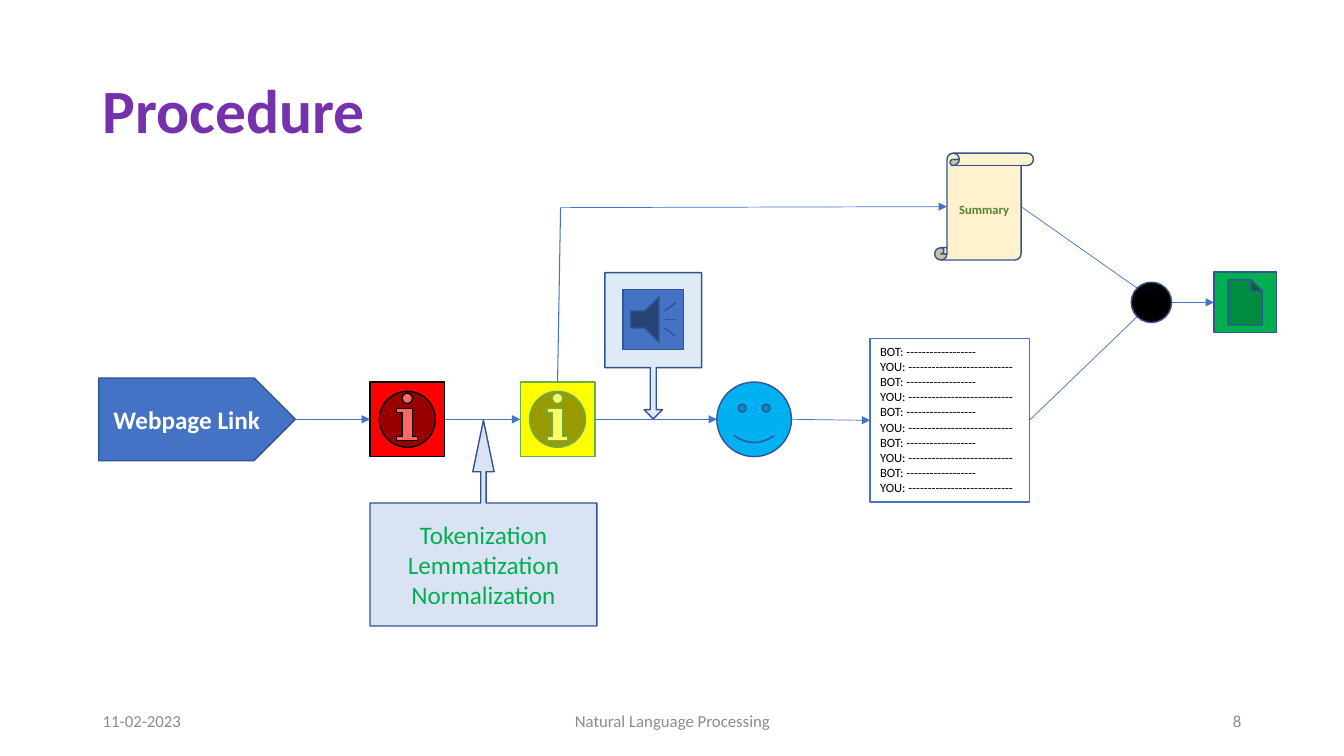
from lxml import etree
from pptx import Presentation
from pptx.dml.color import RGBColor
from pptx.enum.shapes import MSO_CONNECTOR, MSO_SHAPE
from pptx.enum.text import MSO_ANCHOR, PP_ALIGN
from pptx.oxml.ns import qn
from pptx.util import Inches, Pt

STRAIGHT = MSO_CONNECTOR.STRAIGHT
TOP, MIDDLE = MSO_ANCHOR.TOP, MSO_ANCHOR.MIDDLE
LEFT, CENTER, RIGHT = PP_ALIGN.LEFT, PP_ALIGN.CENTER, PP_ALIGN.RIGHT

FONT = "Calibri"
WIDTH, HEIGHT = 13.33, 7.5
MARGIN = 0.92
FLOW = 4.16      # centre line of the main row
SUMMARY = 2.05   # centre line of the summary branch
OUTPUT = 3.0     # centre line of the merged output
ICON = 0.74
BLUE, NAVY, GREEN = "4472C4", "325491", "00B050"

TITLE = "Procedure"
TRANSCRIPT = ["BOT: ------------------", "YOU: ---------------------------"] * 5
STEPS = ["Tokenization", "Lemmatization", "Normalization"]

# name: (preset, left, centre line, width, height, fill, outline)
NODES = {
    "link": (MSO_SHAPE.PENTAGON, 0.98, FLOW, 1.95, 0.82, BLUE, NAVY),
    "transcript": (MSO_SHAPE.RECTANGLE, 8.63, 4.17, 1.58, 1.62, "FFFFFF", BLUE),
    "document": (MSO_SHAPE.ACTION_BUTTON_DOCUMENT, 12.04, OUTPUT, 0.62, 0.6, GREEN, NAVY),
    "raw": (MSO_SHAPE.ACTION_BUTTON_INFORMATION, 3.67, FLOW, ICON, ICON, "FF0000", "000000"),
    "clean": (MSO_SHAPE.ACTION_BUTTON_INFORMATION, 5.16, FLOW, ICON, ICON, "FFFF00", "70AD47"),
    "steps": (MSO_SHAPE.UP_ARROW_CALLOUT, 3.67, 5.19, 2.25, 2.04, "DAE3F3", NAVY),
    "voice": (MSO_SHAPE.DOWN_ARROW_CALLOUT, 6.0, 3.43, 0.96, 1.45, "DEEBF7", NAVY),
    "sound": (MSO_SHAPE.ACTION_BUTTON_SOUND, 6.18, 3.17, 0.6, 0.6, BLUE, NAVY),
    "bot": (MSO_SHAPE.SMILEY_FACE, 7.11, FLOW, ICON, ICON, "00B0F0", NAVY),
    "summary": (MSO_SHAPE.VERTICAL_SCROLL, 9.27, SUMMARY, 0.98, 1.06, "FFF2CC", NAVY),
    "merge": (MSO_SHAPE.OVAL, 11.22, OUTPUT, 0.4, 0.4, "000000", NAVY),
}
ADJUSTMENTS = {
    "steps": (0.026, 0.052, 0.25, 0.598),
    "voice": (0.062, 0.095, 0.095, 0.65),
}
# name: (lines, size, colour, bold, alignment, anchor)
LABELS = {
    "link": (["Webpage Link"], 18, "FFFFFF", True, CENTER, MIDDLE),
    "transcript": (TRANSCRIPT, 9, "000000", False, LEFT, TOP),
    "steps": (STEPS, 18, GREEN, False, CENTER, MIDDLE),
    "summary": (["Summary"], 9, "548235", True, CENTER, MIDDLE),
}
ARROWS = [("link", "raw"), ("raw", "clean"), ("clean", "bot"),
          ("bot", "transcript"), ("merge", "document")]
# (text, left, width, alignment)
FOOTER = [
    ("11-02-2023", MARGIN, 3.0, LEFT),
    ("Natural Language Processing", 4.42, 4.5, CENTER),
    ("8", WIDTH - MARGIN - 3.0, 3.0, RIGHT),
]


def rgb(colour):
    return RGBColor.from_string(colour)


def write(shape, lines, size, colour, bold, alignment, anchor):
    frame = shape.text_frame
    frame.text = "\n".join(lines)
    frame.word_wrap = True
    frame.vertical_anchor = anchor
    for paragraph in frame.paragraphs:
        paragraph.alignment = alignment
        for run in paragraph.runs:
            run.font.name = FONT
            run.font.size = Pt(size)
            run.font.bold = bold
            run.font.color.rgb = rgb(colour)


def add_node(slide, name):
    preset, left, centre, width, height, fill, outline = NODES[name]
    shape = slide.shapes.add_shape(preset, Inches(left), Inches(centre - height / 2),
                                   Inches(width), Inches(height))
    shape.shadow.inherit = False
    shape.fill.solid()
    shape.fill.fore_color.rgb = rgb(fill)
    shape.line.color.rgb = rgb(outline)
    shape.line.width = Pt(1)
    for index, value in enumerate(ADJUSTMENTS.get(name, ())):
        shape.adjustments[index] = value
    if name in LABELS:
        write(shape, *LABELS[name])


def side(name, share):
    """Point on a node's centre line, at a share of its width."""
    left, centre, width = NODES[name][1:4]
    return left + share * width, centre


def add_line(slide, start, end, arrow=False, weight=0.5):
    points = [Inches(value) for value in (*start, *end)]
    connector = slide.shapes.add_connector(STRAIGHT, *points)
    connector.line.color.rgb = rgb(BLUE)
    connector.line.width = Pt(weight)
    if arrow:
        etree.SubElement(connector.line._get_or_add_ln(), qn("a:tailEnd"), type="triangle")
    etree.SubElement(connector._element.spPr, qn("a:effectLst"))


def main():
    presentation = Presentation()
    presentation.slide_width = Inches(WIDTH)
    presentation.slide_height = Inches(HEIGHT)
    slide = presentation.slides.add_slide(presentation.slide_layouts[5])

    title = slide.shapes.title
    title.left, title.top = Inches(MARGIN), Inches(0.4)
    title.width, title.height = Inches(WIDTH - 2 * MARGIN), Inches(1.45)
    write(title, [TITLE], 44, "7631AD", True, LEFT, MIDDLE)
    title.text_frame.paragraphs[0].line_spacing = 0.9

    for name in NODES:
        add_node(slide, name)

    for source, target in ARROWS:
        add_line(slide, side(source, 1), side(target, 0), arrow=True)

    corner = (5.56, SUMMARY + 0.01)
    add_line(slide, (5.53, FLOW - ICON / 2), corner, weight=0.75)
    add_line(slide, corner, side("summary", 1 / 8), arrow=True)

    merge_left = side("merge", 0.15)[0]
    add_line(slide, side("transcript", 1), (merge_left, OUTPUT + 0.14))
    add_line(slide, side("summary", 7 / 8), (merge_left, OUTPUT - 0.14))

    for text, left, width, alignment in FOOTER:
        box = slide.shapes.add_textbox(Inches(left), Inches(6.95), Inches(width), Inches(0.4))
        write(box, [text], 12, "8C8C8C", False, alignment, MIDDLE)

    presentation.save("out.pptx")


if __name__ == "__main__":
    main()
